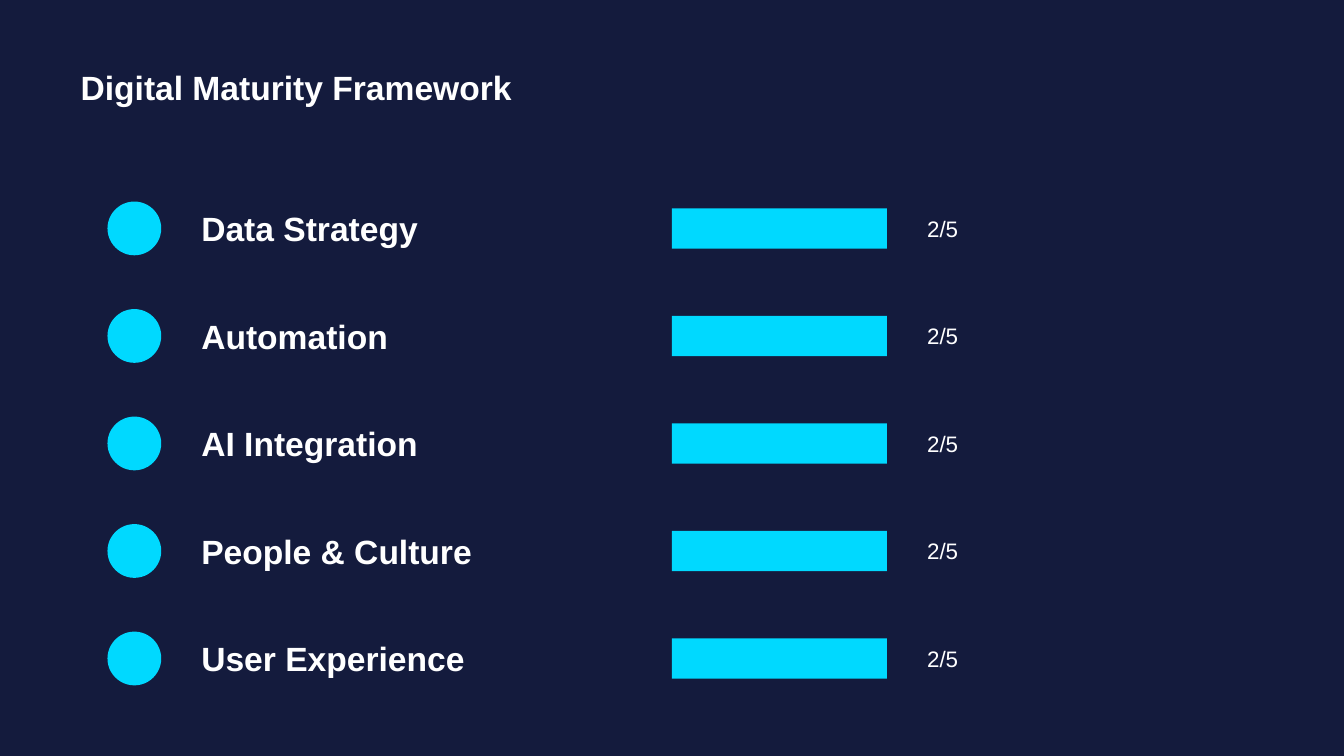
from pptx import Presentation
from pptx import util as u
from pptx.dml import color
from pptx.enum import shapes, text

COLORS = {"background": "141B3D", "accent": "00D9FF", "text": "FFFFFF"}
FONT = "Arial"
TOP_LEVEL = 5
LEVEL_WIDTH = 0.8
ROW_STEP = 0.8
DIMENSIONS = [
    ("Data Strategy", 2),
    ("Automation", 2),
    ("AI Integration", 2),
    ("People & Culture", 2),
    ("User Experience", 2),
]


def rgb(name):
    return color.RGBColor.from_string(COLORS[name])


def write(box, content, size, bold=False):
    frame = box.text_frame
    frame.word_wrap = True
    frame.auto_size = text.MSO_AUTO_SIZE.NONE
    frame.vertical_anchor = text.MSO_ANCHOR.MIDDLE
    para = frame.paragraphs[0]
    para.alignment = text.PP_ALIGN.LEFT
    span = para.add_run()
    span.text = content
    span.font.name = FONT
    span.font.size = u.Pt(size)
    span.font.bold = bold
    span.font.color.rgb = rgb("text")


def add_text(page, left, top, width, height, content, size, bold=False):
    box = page.shapes.add_textbox(
        u.Inches(left), u.Inches(top), u.Inches(width), u.Inches(height))
    write(box, content, size, bold)


def add_solid(page, kind, left, top, width, height):
    shape = page.shapes.add_shape(
        kind, u.Inches(left), u.Inches(top), u.Inches(width), u.Inches(height))
    shape.shadow.inherit = False
    shape.fill.solid()
    shape.fill.fore_color.rgb = rgb("accent")
    shape.line.fill.background()


def place_title(page, left, top, width, height, content):
    title = page.shapes.title
    title.left, title.top = u.Inches(left), u.Inches(top)
    title.width, title.height = u.Inches(width), u.Inches(height)
    write(title, content, 18, bold=True)


def add_dimension(page, left, top, height, label, level):
    bar_left = left + 4.2
    bar_width = level * LEVEL_WIDTH
    bar_height = 0.3
    add_solid(page, shapes.MSO_SHAPE.OVAL, left, top, height, height)
    add_text(page, left + 0.6, top, 3, height, label, 18, bold=True)
    add_solid(page, shapes.MSO_SHAPE.RECTANGLE, bar_left,
              top + (height - bar_height) / 2, bar_width, bar_height)
    add_text(page, bar_left + bar_width + 0.2, top, 1, height,
             f"{level}/{TOP_LEVEL}", 12)


def build_maturity_slide(deck):
    page = deck.slides.add_slide(deck.slide_layouts[5])
    page.background.fill.solid()
    page.background.fill.fore_color.rgb = rgb("background")
    place_title(page, 0.5, 0.4, 9, 0.5, "Digital Maturity Framework")
    for row, (label, level) in enumerate(DIMENSIONS):
        add_dimension(page, 0.8, 1.5 + row * ROW_STEP, 0.4, label, level)


def main():
    deck = Presentation()
    deck.slide_width = u.Inches(10)
    deck.slide_height = u.Inches(10 * 9 / 16)
    build_maturity_slide(deck)
    deck.save("out.pptx")


if __name__ == "__main__":
    main()
